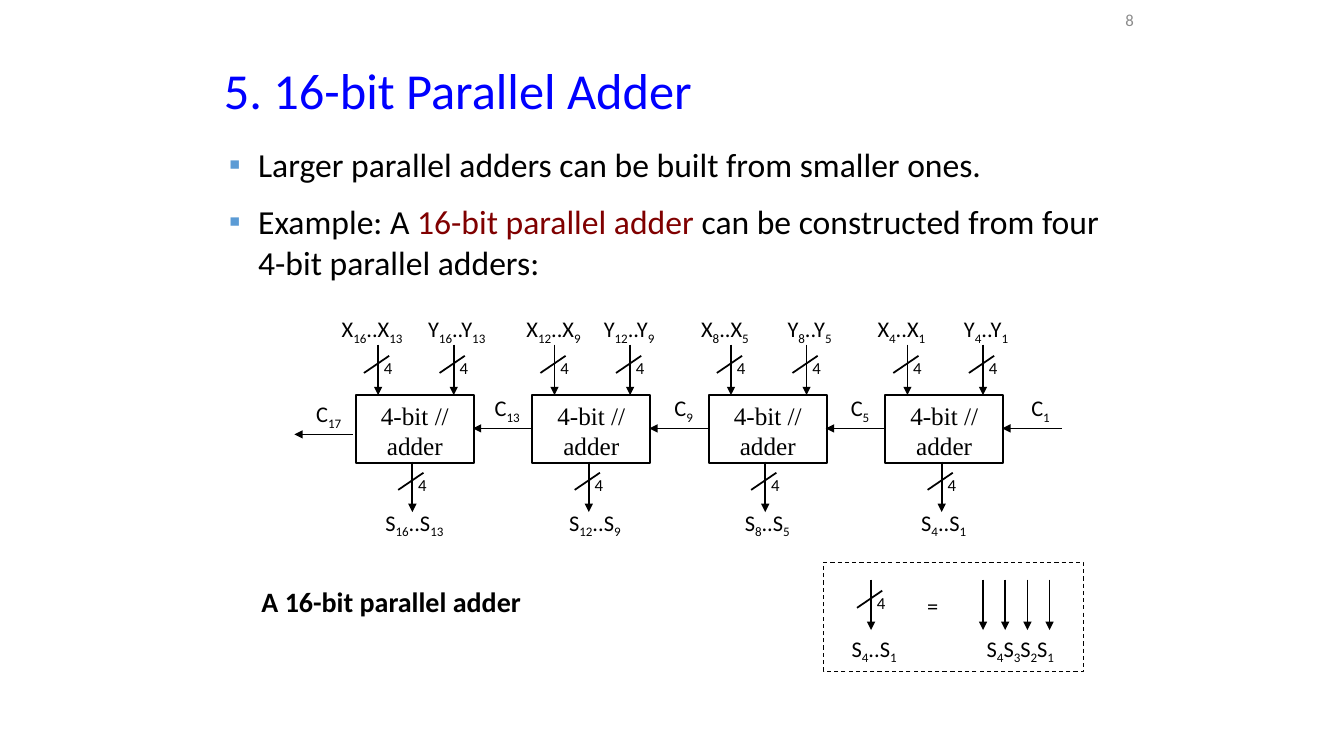
from lxml import etree
from pptx import Presentation
from pptx.dml.color import RGBColor
from pptx.enum.dml import MSO_LINE
from pptx.enum.shapes import MSO_CONNECTOR, MSO_SHAPE
from pptx.enum.text import MSO_ANCHOR, MSO_AUTO_SIZE, PP_ALIGN
from pptx.oxml.ns import qn
from pptx.util import Inches, Pt

LEFT, CENTER, RIGHT = PP_ALIGN.LEFT, PP_ALIGN.CENTER, PP_ALIGN.RIGHT
TOP, MIDDLE = MSO_ANCHOR.TOP, MSO_ANCHOR.MIDDLE
STRAIGHT, RECTANGLE, DASH = MSO_CONNECTOR.STRAIGHT, MSO_SHAPE.RECTANGLE, MSO_LINE.DASH
NO_AUTOFIT = MSO_AUTO_SIZE.NONE
color = RGBColor.from_string
BLACK = "000000"

deck = Presentation()
deck.slide_width, deck.slide_height = Inches(13.33), Inches(7.5)
page = deck.slides.add_slide(deck.slide_layouts[1])


def add_label(text, middle, top, width, size=16, align=CENTER, ink=BLACK, bold=False):
    """Add a text box centred on middle; every second part between bars is a subscript."""
    box = page.shapes.add_textbox(Inches(middle - width / 2), Inches(top),
                                  Inches(width), Inches(0.1 + size * 0.017))
    box.text_frame.word_wrap = True
    para = box.text_frame.paragraphs[0]
    para.alignment = align
    for index, part in enumerate(text.split("|")):
        if not part:
            continue
        span = para.add_run()
        span.text = part
        span.font.name, span.font.size, span.font.bold = "Calibri", Pt(size), bold
        span.font.color.rgb = color(ink)
        if index % 2:
            span.font._element.set("baseline", "-25000")


def add_line(x1, y1, x2, y2, arrow=True):
    line = page.shapes.add_connector(STRAIGHT, Inches(x1), Inches(y1), Inches(x2), Inches(y2))
    line.line.color.rgb = color(BLACK)
    line.line.width = Pt(1.25)
    etree.SubElement(line._element.spPr, qn("a:effectLst"))
    if arrow:
        etree.SubElement(line.line._get_or_add_ln(), qn("a:tailEnd"), type="triangle")


# Title and bullets
title = page.shapes.title
title.left, title.top, title.width, title.height = map(Inches, (2.12, 0.57, 9.21, 0.7))
title.text_frame.auto_size = NO_AUTOFIT
title.text_frame.vertical_anchor = MIDDLE
para = title.text_frame.paragraphs[0]
para.alignment, para.line_spacing = LEFT, 0.9
span = para.add_run()
span.text = "5. 16-bit Parallel Adder"
span.font.name, span.font.size = "Calibri", Pt(36)
span.font.color.rgb = color("0000FF")

body = page.placeholders[1]
body.left, body.top, body.width, body.height = map(Inches, (2.17, 1.38, 9, 4.95))
body.text_frame.auto_size = NO_AUTOFIT
body.text_frame.vertical_anchor = TOP
bullets = [
    [("Larger parallel adders can be built from smaller ones.", BLACK)],
    [("Example: A ", BLACK), ("16-bit parallel adder", "800000"),
     (" can be constructed from four 4-bit parallel adders:", BLACK)],
]
for index, parts in enumerate(bullets):
    para = body.text_frame.paragraphs[0] if index == 0 else body.text_frame.add_paragraph()
    properties = para._p.get_or_add_pPr()
    properties.set("marL", str(Inches(0.29)))
    properties.set("indent", str(-Inches(0.29)))
    bullet_color = etree.SubElement(properties, qn("a:buClr"))
    etree.SubElement(bullet_color, qn("a:srgbClr"), val="5B9BD5")
    etree.SubElement(properties, qn("a:buChar"), char="▪")
    para.space_before = Pt(12 * index)
    for text, ink in parts:
        span = para.add_run()
        span.text = text
        span.font.name, span.font.size = "Calibri", Pt(24)
        span.font.color.rgb = color(ink)

add_label("8", 10.87, 0.05, 0.95, size=12, align=RIGHT, ink="8C8C8C")

# Four chained adders: high bit, low bit, label centres of X, Y, S and carry in
stages = [
    (16, 13, 0.16, 1.0, 0.58, 1.5),
    (12, 9, 0.21, 0.96, 0.62, 1.5),
    (8, 5, 0.16, 1.0, 0.58, 1.5),
    (4, 1, 0.16, 1.0, 0.58, 1.54),
]
buses = [(8.64, 5.75)]
for index, (high, low, x_label, y_label, sum_label, carry_label) in enumerate(stages):
    left = 3.53 + 1.75 * index
    adder = page.shapes.add_shape(RECTANGLE, Inches(left), Inches(3.92),
                                  Inches(1.17), Inches(0.67))
    adder.shadow.inherit = False
    adder.fill.background()
    adder.line.color.rgb = color(BLACK)
    adder.line.width = Pt(1.5)
    adder.text_frame.word_wrap = True
    adder.text_frame.vertical_anchor = TOP
    para = adder.text_frame.paragraphs[0]
    para.alignment = CENTER
    span = para.add_run()
    span.text = "4-bit // adder"
    span.font.name, span.font.size = "Times New Roman", Pt(18)
    span.font.color.rgb = color(BLACK)

    for letter, offset, top in (("X", x_label, 3.08), ("Y", y_label, 3.08), ("S", sum_label, 5)):
        add_label(f"{letter}|{high}|..{letter}|{low}", left + offset, top, 1)
    buses += [(left + 0.22, 3.42), (left + 0.97, 3.42), (left + 0.56, 4.58)]
    add_line(left + 1.75, 4.25, left + 1.16, 4.25)
    add_label(f"C|{low}", left + carry_label, 3.86, 0.58)

add_line(3.5, 4.31, 2.92, 4.31)
add_label("C|17", 3.26, 3.92, 0.58)
add_label("A 16-bit parallel adder", 4.08, 5.75, 3.17, size=20, align=LEFT, bold=True)

# Four-wire buses: arrow, slash and wire count
for x, y in buses:
    add_line(x, y, x, y + 0.5)
    add_line(x + 0.11, y + 0.11, x - 0.14, y + 0.28, arrow=False)
    add_label("4", x + 0.1, y + 0.08, 0.33, size=12)

# Legend
add_label("S|4|..S|1", 8.67, 6.25, 0.83)
add_label("=", 9.25, 5.83, 0.5)
for wire in range(4):
    x = 9.75 + 0.22 * wire
    add_line(x, 5.75, x, 6.25)
add_label("S|4|S|3|S|2|S|1", 10.12, 6.25, 1.08)
frame = page.shapes.add_shape(RECTANGLE, Inches(8.17), Inches(5.58), Inches(2.58), Inches(1.08))
frame.shadow.inherit = False
frame.fill.background()
frame.line.color.rgb = color(BLACK)
frame.line.width = Pt(0.75)
frame.line.dash_style = DASH

deck.save("out.pptx")
